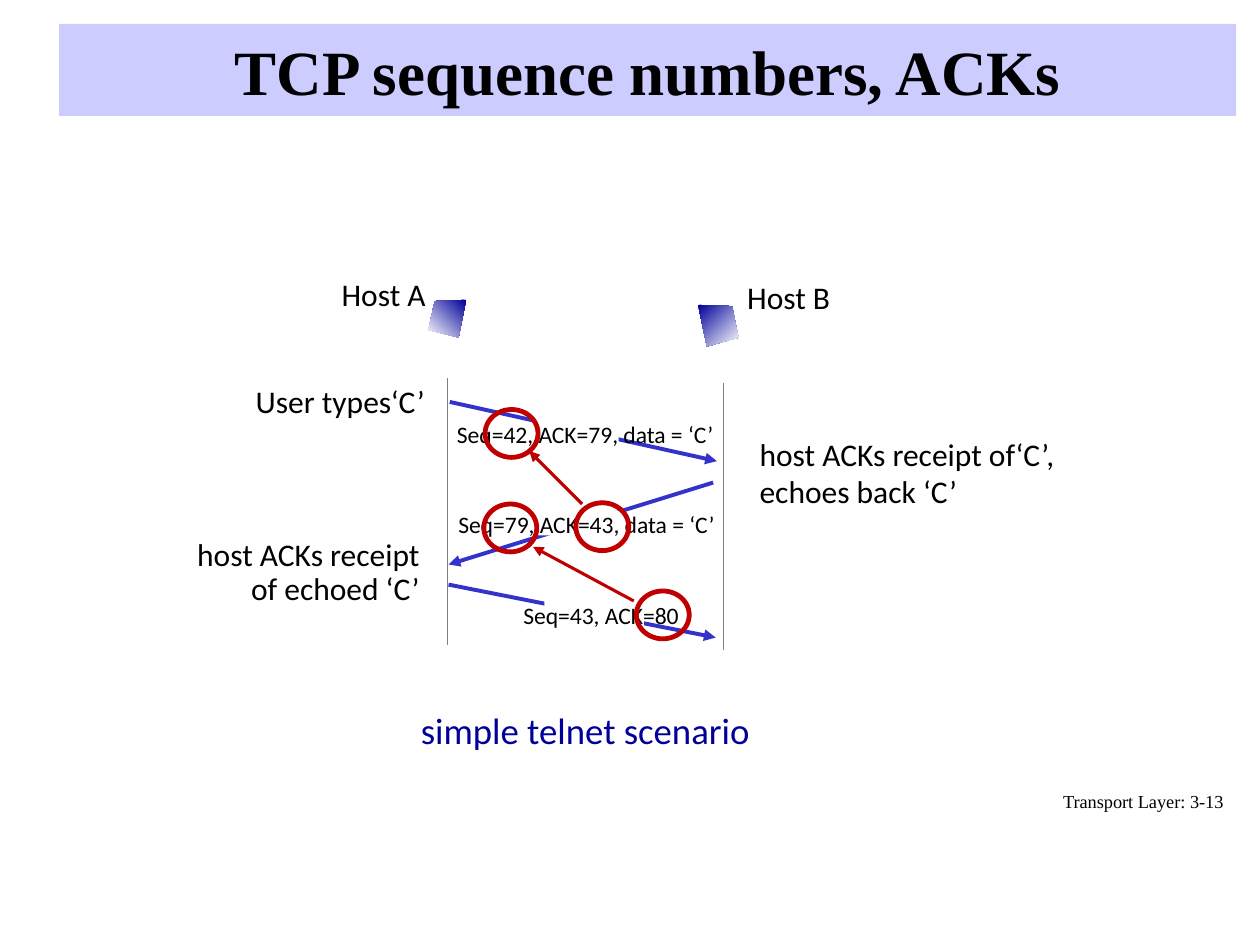
from pptx import Presentation
from pptx import util as u
from pptx.dml.color import RGBColor
from pptx.enum import shapes, text
from pptx.oxml.ns import qn
from lxml import etree

BLACK = RGBColor(0x00, 0x00, 0x00)
WHITE = RGBColor(0xFF, 0xFF, 0xFF)
LAVENDER = RGBColor(0xCC, 0xCC, 0xFF)
NAVY = RGBColor(0x00, 0x00, 0x99)
BLUE = RGBColor(0x33, 0x33, 0xCC)
RED = RGBColor(0xC0, 0x00, 0x00)
GRAY = RGBColor(0x80, 0x80, 0x80)
SANS, SERIF = "Calibri", "Times New Roman"
LEFT, CENTER, RIGHT = text.PP_ALIGN.LEFT, text.PP_ALIGN.CENTER, text.PP_ALIGN.RIGHT

TITLE = "TCP sequence numbers, ACKs"
TITLE_BOX = (0.47, 0.19, 9.34, 0.73)

LABELS = [
    ("host ACKs receipt of echoed ‘C’", (1.36, 4.23, 2.07, 0.64), 18, RIGHT, True, 0.9),
    ("host ACKs receipt of‘C’, echoes back ‘C’", (5.93, 3.4, 2.61, 0.71), 18, LEFT, True, 1),
    ("User types‘C’", (1.23, 3.02, 2.24, 0.37), 18, RIGHT, True, 0.9),
    ("simple telnet scenario", (3.24, 5.57, 2.81, 0.45), 21, CENTER, False, 1),
    ("Host A", (2.61, 2.13, 0.87, 0.4), 18, CENTER, False, 1),
    ("Host B", (5.83, 2.16, 0.86, 0.4), 18, CENTER, False, 1),
]
FOOTER = ("Transport Layer: 3-13", (7.56, 6.22, 2.25, 0.3), 10.5, RIGHT, True, 1)

MESSAGES = [
    ("Seq=42, ACK=79, data = ‘C’", (3.57, 3.19), (5.69, 3.66),
     (4.24, 3.27, 0.67, 0.31), (3.48, 3.28, 2.33, 0.33)),
    ("Seq=79, ACK=43, data = ‘C’", (5.66, 3.83), (3.56, 4.48),
     (4.27, 4.05, 0.68, 0.2), (3.49, 4, 2.33, 0.33)),
    ("Seq=43, ACK=80", (3.56, 4.64), (5.68, 5.06),
     (4.32, 4.75, 0.79, 0.29), (4.05, 4.72, 1.44, 0.33)),
]
TIMELINES = [(3.55, 3), (5.74, 3.04)]
TIMELINE_LENGTH = 2.12
HOST_MARKERS = [
    ([(3.7, 2.38), (3.45, 2.39), (3.4, 2.62), (3.64, 2.68)], 225),
    ([(5.54, 2.42), (5.81, 2.43), (5.86, 2.68), (5.61, 2.75)], 315),
]
RING_SIZE = (0.42, 0.38)
ACK_LINKS = [
    ((4.57, 3.99), (3.85, 3.25), (4.62, 4), (4.2, 3.58)),
    ((5.05, 4.69), (3.84, 4), (5.03, 4.77), (4.23, 4.34)),
]


def inches(values):
    return [u.Inches(value) for value in values]


def style_text(paragraph, size, font, color, bold=False):
    for run in paragraph.runs:
        run.font.size = u.Pt(size)
        run.font.name = font
        run.font.bold = bold
        run.font.color.rgb = color


def add_label(slide, words, box, size, align, wrap, spacing, font=SANS, color=BLACK):
    frame = slide.shapes.add_textbox(*inches(box)).text_frame
    frame.word_wrap = wrap
    frame.text = words
    paragraph = frame.paragraphs[0]
    paragraph.alignment = align
    paragraph.line_spacing = spacing
    style_text(paragraph, size, font, color)


def add_line(slide, start, end, color, width, arrow=False):
    line = slide.shapes.add_connector(shapes.MSO_CONNECTOR.STRAIGHT, *inches(start + end))
    line.line.color.rgb = color
    line.line.width = u.Pt(width)
    if arrow:
        etree.SubElement(line.line._get_or_add_ln(), qn("a:tailEnd"), type="triangle")
    etree.SubElement(line._element.spPr, qn("a:effectLst"))


def add_mask(slide, box):
    mask = slide.shapes.add_shape(shapes.MSO_SHAPE.RECTANGLE, *inches(box))
    mask.shadow.inherit = False
    mask.fill.solid()
    mask.fill.fore_color.rgb = WHITE
    mask.line.fill.background()


def add_ring(slide, corner):
    ring = slide.shapes.add_shape(shapes.MSO_SHAPE.OVAL, *inches(corner + RING_SIZE))
    ring.shadow.inherit = False
    ring.fill.background()
    ring.line.color.rgb = RED
    ring.line.width = u.Pt(2.75)


def add_host_marker(slide, points, angle):
    first, *rest = [tuple(inches(point)) for point in points]
    builder = slide.shapes.build_freeform(*first)
    builder.add_line_segments(rest, close=True)
    marker = builder.convert_to_shape()
    marker.shadow.inherit = False
    marker.line.fill.background()
    marker.fill.gradient()
    marker.fill.gradient_angle = angle
    for stop, color, position in zip(marker.fill.gradient_stops, (NAVY, WHITE), (0, 1)):
        stop.color.rgb = color
        stop.position = position


def add_title(slide):
    title = slide.shapes.title
    title.left, title.top, title.width, title.height = inches(TITLE_BOX)
    title.fill.solid()
    title.fill.fore_color.rgb = LAVENDER
    title.text_frame.text = TITLE
    title.text_frame.vertical_anchor = text.MSO_ANCHOR.MIDDLE
    paragraph = title.text_frame.paragraphs[0]
    paragraph.alignment = CENTER
    style_text(paragraph, 36, SERIF, BLACK, bold=True)


def main():
    presentation = Presentation()
    presentation.slide_width, presentation.slide_height = inches((10, 7.5))
    slide = presentation.slides.add_slide(presentation.slide_layouts[5])
    add_title(slide)
    for label in LABELS:
        add_label(slide, *label, color=NAVY if label[2] == 21 else BLACK)
    for words, start, end, mask, box in MESSAGES:
        add_line(slide, start, end, BLUE, 2.25, arrow=True)
        add_mask(slide, mask)
        add_label(slide, words, box, 13.5, CENTER, False, 1)
    for x, top in TIMELINES:
        add_line(slide, (x, top), (x, top + TIMELINE_LENGTH), GRAY, 0.75)
    for points, angle in HOST_MARKERS:
        add_host_marker(slide, points, angle)
    for ack, sequence, start, end in ACK_LINKS:
        add_ring(slide, ack)
        add_ring(slide, sequence)
        add_line(slide, start, end, RED, 1.75, arrow=True)
    add_label(slide, *FOOTER, font=SERIF)
    presentation.save("out.pptx")


if __name__ == "__main__":
    main()
